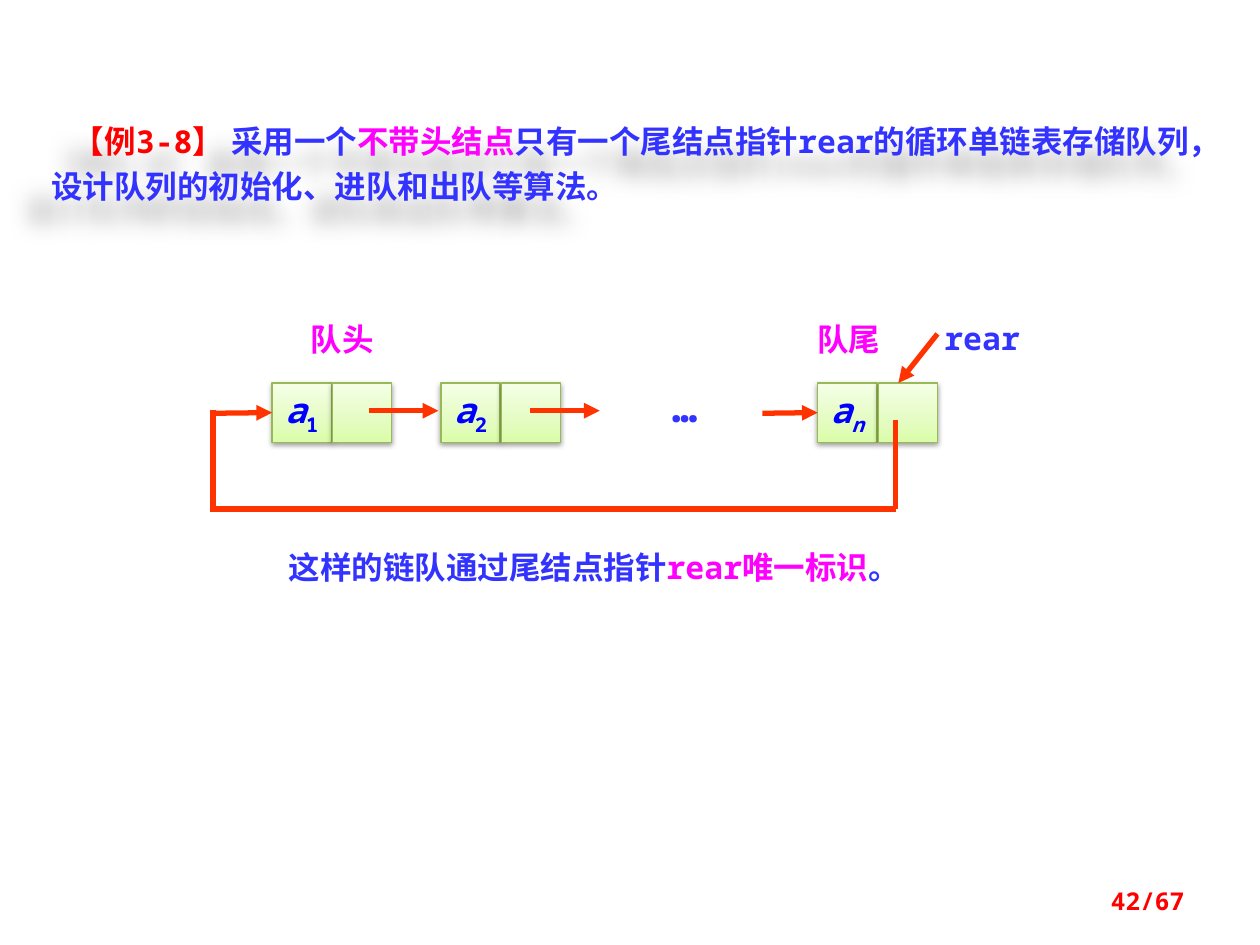
from lxml.etree import SubElement
from pptx import Presentation
from pptx.dml.color import RGBColor
from pptx.enum.shapes import MSO_CONNECTOR as Connector, MSO_SHAPE as Shape
from pptx.enum.text import MSO_ANCHOR as Anchor, PP_ALIGN as Align
from pptx.oxml import parse_xml
from pptx.oxml.ns import nsdecls, qn
from pptx.util import Inches, Pt

BLUE, PINK, RED, INK = "3333FF", "FF00FF", "FF0000", "0000FF"
ORANGE, GREEN = "FF3300", "98B955"
MONO, HAN = "Noto Sans Mono", "Noto Sans CJK SC"
STOPS = [(0, "DAFDA7"), (35, "E4FCC2"), (100, "F5FFE7")]


def write(box, text, size=18, font=MONO, align=Align.CENTER, anchor=Anchor.TOP,
          wrap=True, italic=False, spacing=None, indent=None):
    frame = box.text_frame
    frame.word_wrap = wrap
    frame.vertical_anchor = anchor
    para = frame.paragraphs[0]
    para.alignment = align
    para.line_spacing = spacing
    if indent:
        para._p.get_or_add_pPr().set("indent", str(indent))
    for words, colour, *script in text:
        span = para.add_run()
        span.text = words
        span.font.size = Pt(size)
        span.font.name = font
        span.font.bold = True
        span.font.italic = italic and words.isalpha()
        span.font.color.rgb = RGBColor.from_string(colour)
        props = span._r.get_or_add_rPr()
        SubElement(props, qn("a:ea")).set("typeface", HAN)
        if script:
            props.set("baseline", str(script[0] * 1000))


def cast_shadow(box, blur, distance, direction, opacity):
    box.shadow.inherit = False
    effects = box._element.spPr.find(qn("a:effectLst"))
    effects.append(parse_xml(
        f'<a:outerShdw {nsdecls("a")} blurRad="{Pt(blur)}" dist="{Pt(distance)}" '
        f'dir="{direction * 60000}" algn="ctr" rotWithShape="0"><a:srgbClr val="000000">'
        f'<a:alpha val="{opacity * 1000}"/></a:srgbClr></a:outerShdw>'))


deck = Presentation()
deck.slide_width, deck.slide_height = Inches(10), Inches(7.5)
page = deck.slides.add_slide(deck.slide_layouts[6])

title = page.shapes.add_textbox(Inches(0.31), Inches(0.86), Inches(9.45), Inches(0.8))
write(title, [("【例3-8】 ", RED), ("采用一个", BLUE), ("不带头结点", PINK),
              ("只有一个尾结点指针rear的循环单链表存储队列，设计队列的初始化、进队和出队等算法。", BLUE)],
      align=Align.LEFT, spacing=1.2, indent=Inches(0.17))
cast_shadow(title, 11.81, 19.7, 141, 28)

data_cells = {}
for left, index in [(2.16, "1"), (3.5, "2"), (6.49, "n")]:
    for part in range(2):
        cell = page.shapes.add_shape(Shape.RECTANGLE, Inches(left + 0.48 * part),
                                     Inches(3.04), Inches(0.47), Inches(0.47))
        stops = "".join(f'<a:gs pos="{place * 1000}"><a:srgbClr val="{colour}"/></a:gs>'
                        for place, colour in STOPS)
        cell._element.spPr.append(parse_xml(
            f'<a:gradFill {nsdecls("a")} rotWithShape="1"><a:gsLst>{stops}</a:gsLst>'
            '<a:lin ang="16200000" scaled="0"/></a:gradFill>'))
        cell.line.color.rgb = RGBColor.from_string(GREEN)
        cell.line.width = Pt(0.75)
        cast_shadow(cell, 3.1, 1.6, 90, 38)
        if part == 0:
            data_cells[index] = cell
            write(cell, [("a", INK), (index, INK, -25)], size=20,
                  anchor=Anchor.MIDDLE, wrap=False, italic=True)

links = [
    (6.05, 3.28, 6.49, 3.28, True, "n"),
    (2.93, 3.26, 3.48, 3.26, True, None),
    (4.21, 3.26, 4.76, 3.26, True, None),
    (7.11, 3.33, 7.11, 4.04, False, None),
    (1.67, 4.04, 7.11, 4.04, False, None),
    (1.69, 3.25, 1.69, 4.05, False, None),
    (1.69, 3.28, 2.16, 3.28, True, "1"),
    (7.44, 2.65, 7.13, 3.04, True, None),
]
for x1, y1, x2, y2, arrow, target in links:
    link = page.shapes.add_connector(Connector.STRAIGHT, Inches(x1), Inches(y1),
                                     Inches(x2), Inches(y2))
    link.line.color.rgb = RGBColor.from_string(ORANGE)
    link.line.width = Pt(3)
    if arrow:
        SubElement(link.line._get_or_add_ln(), qn("a:tailEnd")).set("type", "triangle")
    SubElement(link._element.spPr, qn("a:effectLst"))
    if target:
        link.end_connect(data_cells[target], 1)

labels = [
    (7.36, 2.48, 0.87, 0.4, [("rear", BLUE)], {}),
    (5, 2.97, 0.87, 0.5, [("…", BLUE)], {"size": 24}),
    (2.24, 2.49, 0.95, 0.4, [("队头", PINK)], {"font": HAN}),
    (6.26, 2.49, 0.95, 0.4, [("队尾", PINK)], {"font": HAN}),
    (1.17, 4.3, 7.09, 0.4,
     [("这样的链队通过尾结点指针", BLUE), ("rear唯一标识", PINK), ("。", BLUE)], {}),
    (7.17, 6.95, 2.33, 0.4, [("42/67", RED)],
     {"size": 14, "align": Align.RIGHT, "anchor": Anchor.MIDDLE}),
]
for left, top, width, height, text, style in labels:
    label = page.shapes.add_textbox(Inches(left), Inches(top), Inches(width), Inches(height))
    write(label, text, **style)

deck.save("out.pptx")
